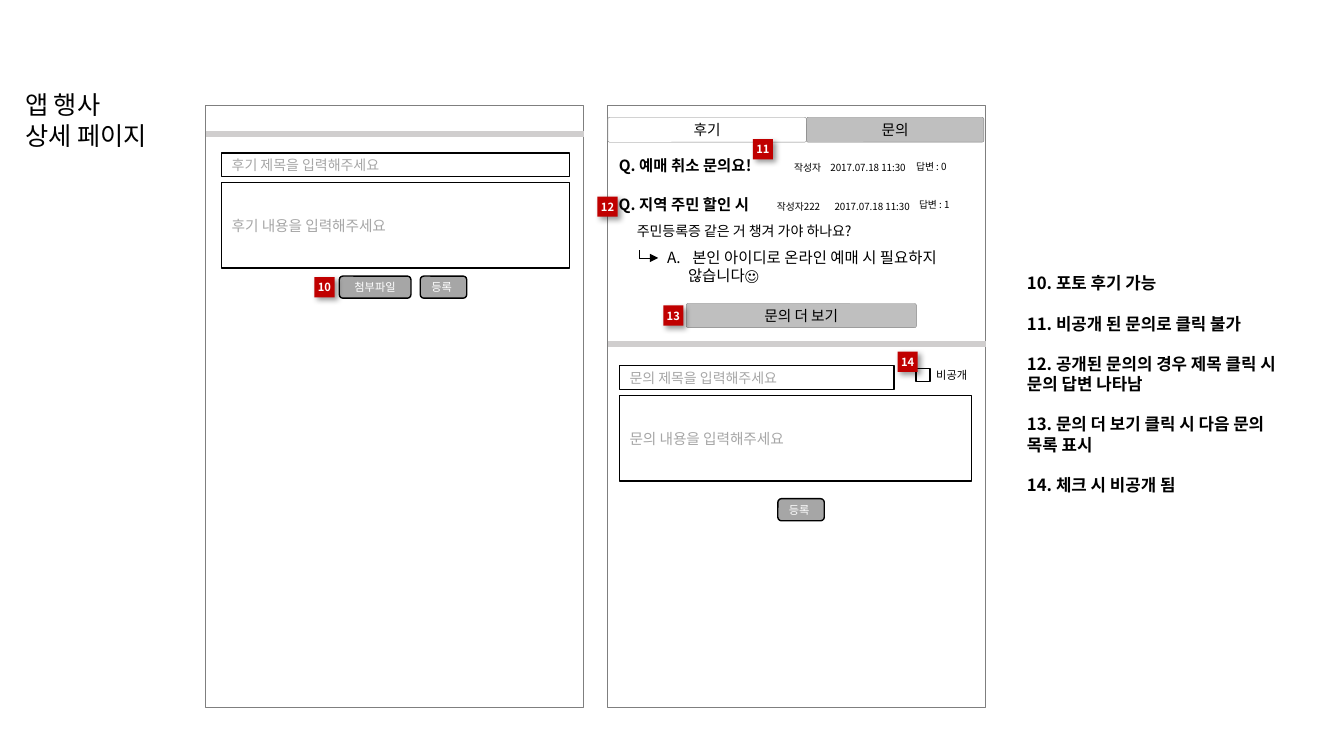
from dataclasses import dataclass

from lxml import etree
from pptx import Presentation
from pptx import util as u
from pptx.dml.color import RGBColor
from pptx.enum import shapes, text
from pptx.oxml import ns

Pt = u.Pt
FONT = "Noto Sans CJK KR"
LEADING = 1.2
COLORS = {
    "ink": "000000", "paper": "FFFFFF", "hint": "A6A6A6", "active": "BFBFBF",
    "panel_edge": "7F7F7F", "tab_edge": "808080", "divider": "D0CECE", "badge": "C00000",
}
RECT = shapes.MSO_SHAPE.RECTANGLE
ROUND = shapes.MSO_SHAPE.ROUNDED_RECTANGLE
LEFT, CENTER = text.PP_ALIGN.LEFT, text.PP_ALIGN.CENTER

PANEL_TOP, PANEL_WIDTH, PANEL_HEIGHT = 75.6, 270, 430
REVIEW_X, INQUIRY_X = 147, 434.2
BADGE_SIZE = 14.4


@dataclass(frozen=True)
class Style:
    kind: int
    fill: str | None
    edge: str | None
    edge_width: float = 1
    ink: str = "ink"
    size: float = 10
    align: int = LEFT
    inset_x: float = 7.2
    inset_y: float = 3.6
    bold: bool = False
    radius: float | None = None
    wrap: bool = True
    shadow: bool = False


PANEL = Style(RECT, "paper", "panel_edge", 0.75)
TITLE_FIELD = Style(RECT, None, "ink", ink="hint")
CONTENT_FIELD = Style(RECT, None, "ink", ink="hint", size=10.5)
SUBMIT = Style(ROUND, "hint", "ink", ink="paper", size=8)
ATTACH = Style(ROUND, "hint", "ink", ink="paper", size=8, align=CENTER)
TAB = Style(ROUND, "paper", "tab_edge", 0.25, size=10.5, align=CENTER, inset_x=0, radius=0.075)
ACTIVE_TAB = Style(ROUND, "active", "tab_edge", 0.25, size=10.5, align=CENTER, inset_x=0, radius=0.075)
CHECKBOX = Style(RECT, None, "ink")
BADGE = Style(RECT, "badge", None, ink="paper", size=8, align=CENTER, inset_x=0, inset_y=0,
              bold=True, wrap=False, shadow=True)


@dataclass(frozen=True)
class Box:
    style: Style
    x: float
    y: float
    width: float
    height: float
    words: str = ""


@dataclass(frozen=True)
class Label:
    x: float
    y: float
    width: float
    height: float
    size: float
    lines: tuple[str, ...]
    bold: bool = False
    wrap: bool = False


@dataclass(frozen=True)
class Stroke:
    x1: float
    y1: float
    x2: float
    y2: float
    color: str
    width: float
    arrow: bool = False


BOXES = [
    *(Box(PANEL, x, PANEL_TOP, PANEL_WIDTH, PANEL_HEIGHT) for x in (REVIEW_X, INQUIRY_X)),
    Box(TITLE_FIELD, 158.4, 109.4, 248.4, 16.8, "후기 제목을 입력해주세요"),
    Box(CONTENT_FIELD, 158.4, 130.3, 248.4, 61.2, "후기 내용을 입력해주세요"),
    Box(ATTACH, 242.4, 197.2, 51.2, 15.8, "첨부파일"),
    Box(SUBMIT, 300.2, 197.2, 33.2, 15.8, "등록"),
    Box(TAB, INQUIRY_X, 83.8, 141.8, 17.8, "후기"),
    Box(ACTIVE_TAB, 576, 83.8, 126.8, 17.8, "문의"),
    Box(ACTIVE_TAB, 490.2, 216.8, 164.4, 17.2, "문의 더 보기"),
    Box(TITLE_FIELD, 442.6, 261.2, 196, 17.2, "문의 제목을 입력해주세요"),
    Box(CONTENT_FIELD, 442.6, 282.4, 251.4, 61.2, "문의 내용을 입력해주세요"),
    Box(SUBMIT, 555.6, 356.2, 33.2, 15.8, "등록"),
    Box(CHECKBOX, 654.2, 263, 10, 9.6),
]
BADGES = [
    Box(BADGE, x, y, BADGE_SIZE, BADGE_SIZE, number)
    for number, x, y in [("10", 224.6, 198), ("11", 537.8, 99.4), ("12", 426.8, 140.4),
                         ("13", 473.8, 218.2), ("14", 641.2, 251.2)]
]
LABELS = [
    Label(10.8, 60.5, 183.6, 20.2, 18, ("앱 행사", "상세 페이지"), wrap=True),
    Label(434.9, 108, 118.8, 20.9, 11, ("Q. 예매 취소 문의요!",), bold=True),
    Label(560.2, 111.6, 36, 15.8, 7, ("작성자",)),
    Label(586.1, 111.6, 68.4, 15.8, 7, ("2017.07.18 11:30",)),
    Label(647.3, 110.9, 38.9, 15.8, 7, ("답변 : 0",)),
    Label(434.9, 136.1, 119.5, 20.9, 11, ("Q. 지역 주민 할인 시",), bold=True),
    Label(547.9, 139.7, 47.5, 15.8, 7, ("작성자222",)),
    Label(589, 139.7, 68.4, 15.8, 7, ("2017.07.18 11:30",)),
    Label(649.4, 138.2, 38.9, 15.8, 7, ("답변 : 1",)),
    Label(447.8, 155.5, 188.6, 19.4, 10, ("주민등록증 같은 거 챙겨 가야 하나요?",)),
    Label(661.7, 259.2, 38.9, 17.3, 8, ("비공개",)),
]
ANSWER = Label(469.4, 173.5, 229.7, 33.8, 11, ("본인 아이디로 온라인 예매 시 필요하지", "않습니다☺"))
NOTES = Label(726.5, 191.5, 220.3, 181.4, 12, (
    "10. 포토 후기 가능",
    "11. 비공개 된 문의로 클릭 불가",
    "12. 공개된 문의의 경우 제목 클릭 시", "문의 답변 나타남",
    "13. 문의 더 보기 클릭 시 다음 문의", "목록 표시",
    "14. 체크 시 비공개 됨",
), bold=True, wrap=True)
STROKES = [
    *(Stroke(x, y, x + PANEL_WIDTH, y, "divider", 4.5) for x, y in ((REVIEW_X, 95.8), (INQUIRY_X, 245.5))),
    Stroke(456.5, 178.6, 456.5, 184.3, "ink", 0.5),
    Stroke(456.5, 184.3, 470.2, 184.3, "ink", 0.5, arrow=True),
]


def rgb(name: str) -> RGBColor:
    return RGBColor.from_string(COLORS[name])


def add_xml(parent, tag: str, **attributes: str):
    return etree.SubElement(parent, ns.qn(tag), attributes)


def write_run(paragraph, words: str, size: float, ink: str, bold: bool) -> None:
    paragraph.line_spacing = Pt(size * LEADING)
    run = paragraph.add_run()
    run.text = words
    run.font.size = Pt(size)
    run.font.bold = bold
    run.font.color.rgb = rgb(ink)
    run.font.name = FONT
    add_xml(run.font._element, "a:ea", typeface=FONT)


def draw_box(slide, box: Box) -> None:
    style = box.style
    shape = slide.shapes.add_shape(style.kind, Pt(box.x), Pt(box.y), Pt(box.width), Pt(box.height))
    shape.shadow.inherit = False
    if style.shadow:
        effects = shape._element.spPr.find(ns.qn("a:effectLst"))
        cast = add_xml(effects, "a:outerShdw", blurRad=str(Pt(4)), dist=str(Pt(3)),
                       dir="2700000", algn="tl", rotWithShape="0")
        add_xml(add_xml(cast, "a:srgbClr", val=COLORS["ink"]), "a:alpha", val="40000")
    if style.radius is not None:
        shape.adjustments[0] = style.radius
    if style.fill:
        shape.fill.solid()
        shape.fill.fore_color.rgb = rgb(style.fill)
    else:
        shape.fill.background()
    if style.edge:
        shape.line.color.rgb = rgb(style.edge)
        shape.line.width = Pt(style.edge_width)
    else:
        shape.line.fill.background()
    if box.words:
        frame = shape.text_frame
        frame.word_wrap = style.wrap
        frame.vertical_anchor = text.MSO_ANCHOR.MIDDLE
        frame.margin_left = frame.margin_right = Pt(style.inset_x)
        frame.margin_top = frame.margin_bottom = Pt(style.inset_y)
        frame.paragraphs[0].alignment = style.align
        write_run(frame.paragraphs[0], box.words, style.size, style.ink, style.bold)


def draw_label(slide, label: Label) -> list:
    frame = slide.shapes.add_textbox(Pt(label.x), Pt(label.y), Pt(label.width), Pt(label.height)).text_frame
    frame.word_wrap = label.wrap
    for number, line in enumerate(label.lines):
        paragraph = frame.add_paragraph() if number else frame.paragraphs[0]
        write_run(paragraph, line, label.size, "ink", label.bold)
    return list(frame.paragraphs)


def draw_answer(slide) -> None:
    first, second = (p._p.get_or_add_pPr() for p in draw_label(slide, ANSWER))
    first.set("marL", str(Pt(18)))
    first.set("indent", str(Pt(-18)))
    add_xml(first, "a:buFont", typeface=FONT)
    add_xml(first, "a:buAutoNum", type="alphaUcPeriod")
    second.set("marL", str(Pt(15)))


def draw_notes(slide) -> None:
    for paragraph in draw_label(slide, NOTES)[1:]:
        if paragraph.text[0].isdigit():
            paragraph.space_before = Pt(NOTES.size * LEADING)


def draw_stroke(slide, stroke: Stroke) -> None:
    line = slide.shapes.add_connector(shapes.MSO_CONNECTOR.STRAIGHT, Pt(stroke.x1), Pt(stroke.y1),
                                      Pt(stroke.x2), Pt(stroke.y2))
    line.line.color.rgb = rgb(stroke.color)
    line.line.width = Pt(stroke.width)
    if stroke.arrow:
        add_xml(line.line._get_or_add_ln(), "a:tailEnd", type="triangle")
    add_xml(line._element.spPr, "a:effectLst")


def main() -> None:
    deck = Presentation()
    deck.slide_width, deck.slide_height = Pt(960), Pt(540)
    slide = deck.slides.add_slide(deck.slide_layouts[6])
    for box in BOXES:
        draw_box(slide, box)
    for stroke in STROKES:
        draw_stroke(slide, stroke)
    for label in LABELS:
        draw_label(slide, label)
    draw_answer(slide)
    draw_notes(slide)
    for badge in BADGES:
        draw_box(slide, badge)
    deck.save("out.pptx")


if __name__ == "__main__":
    main()
